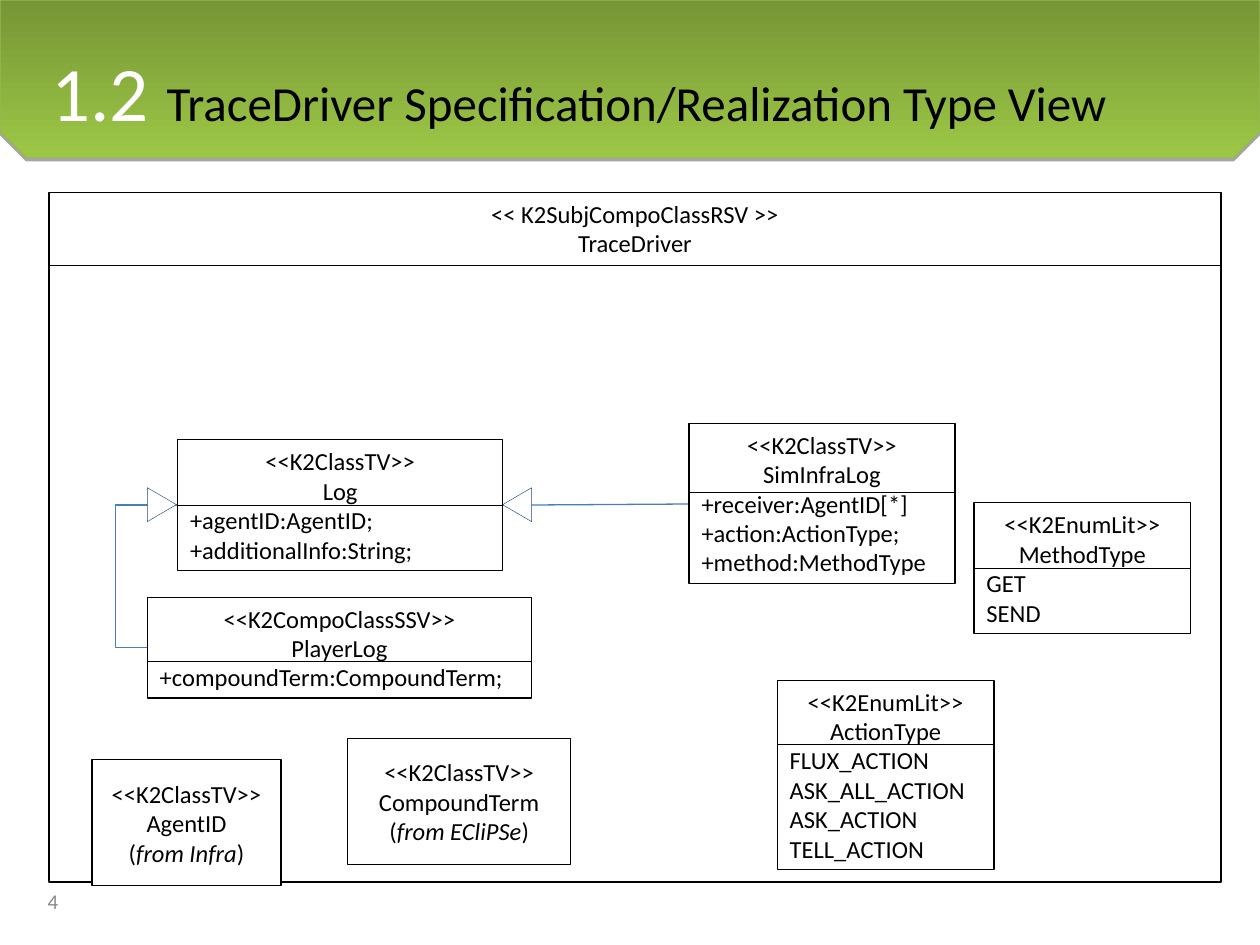
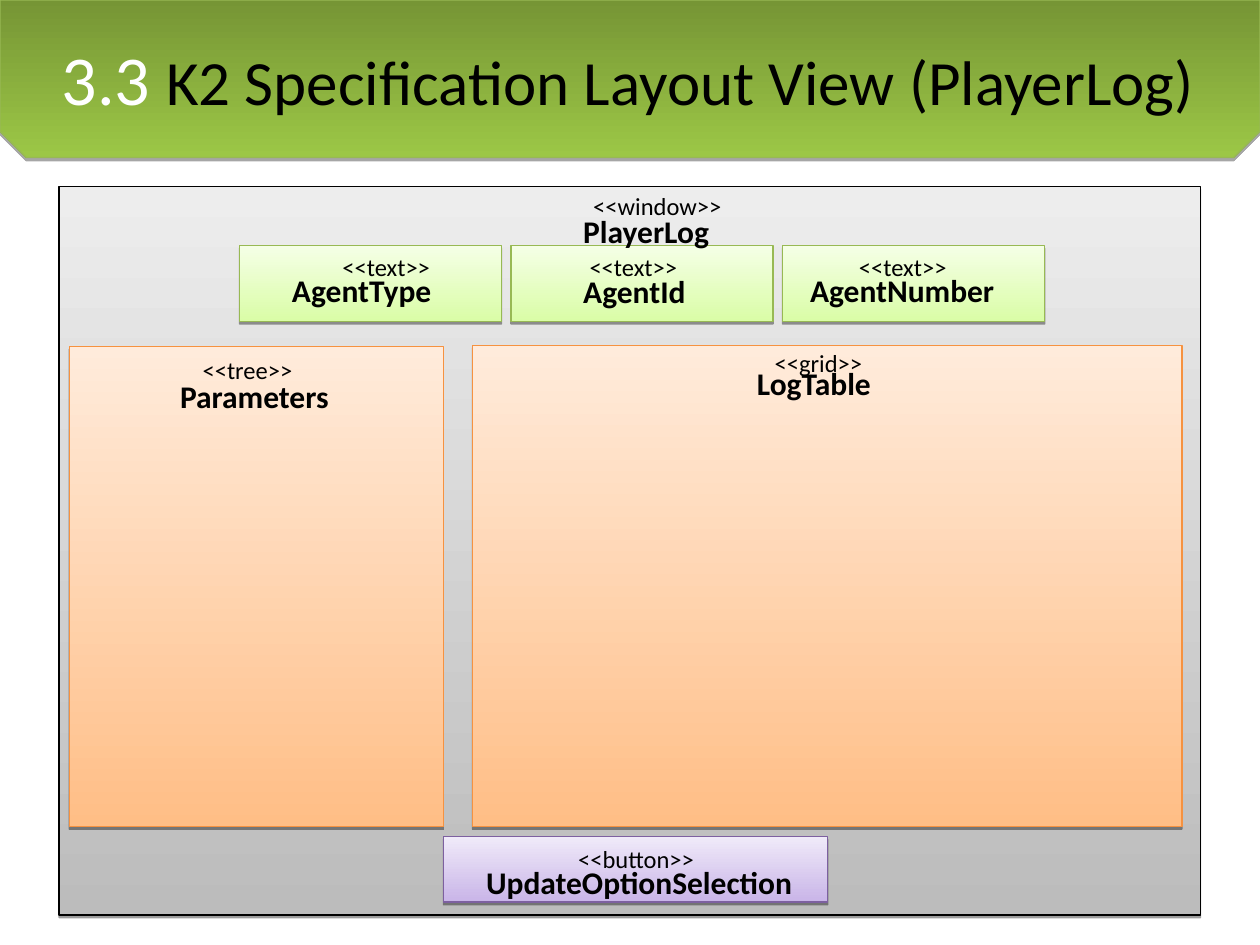
import pptx
import pptx.util
import pptx.dml.color
import pptx.enum.shapes
import pptx.enum.text
import pptx.oxml
import pptx.oxml.ns

Pt = pptx.util.Pt
FORM = pptx.enum.shapes.MSO_SHAPE
LINK = pptx.enum.shapes.MSO_CONNECTOR
ALIGN = pptx.enum.text.PP_ALIGN
ANCHOR = pptx.enum.text.MSO_ANCHOR
BLACK, WHITE, GREY, BLUE, NAVY = "000000", "FFFFFF", "898989", "4A7EBB", "1F497D"
BAND = ("769535", "9CC746", "98B954")
PANE = ("EDEDED", "BCBCBC", BLACK)
GREEN = ("F5FFE6", "DAFDA7", "98B954")
PEACH = ("FFEBDB", "FFBE86", "F69240")
LILAC = ("F0EAF9", "C9B5E8", "7D60A0")


def tint(code):
    return pptx.dml.color.RGBColor.from_string(code)


class Deck:
    font = "Calibri"
    wide, high = 720, 540

    def __init__(self):
        self.show = pptx.Presentation()
        self.show.slide_width = Pt(self.wide)
        self.show.slide_height = Pt(self.high)

    def page(self, mark, text, place, sizes):
        self.slide = self.show.slides.add_slide(self.show.slide_layouts[5])
        self.shapes = self.slide.shapes
        title = self.shapes.title
        title.left, title.top, title.width, title.height = map(Pt, place)
        frame = title.text_frame
        frame.auto_size = pptx.enum.text.MSO_AUTO_SIZE.NONE
        frame.vertical_anchor = ANCHOR.TOP
        part = frame.paragraphs[0]
        part.alignment = ALIGN.LEFT
        self.run(part, mark, sizes[0], WHITE)
        self.run(part, text, sizes[1])
        title.element.addprevious(self.band().element)

    def band(self):
        low, cut, snip = 90, 75, 15
        form = self.shapes.build_freeform(0, 0, scale=Pt(1))
        form.add_line_segments([
            (self.wide, 0), (self.wide, cut), (self.wide - snip, low),
            (snip, low), (0, cut)])
        shape = form.convert_to_shape()
        self.shade(shape, BAND, 35, 1.8)
        return shape

    def run(self, part, text, size=14, hue=BLACK, bold=False, slant=False):
        run = part.add_run()
        run.text = text
        font = run.font
        font.name, font.size, font.bold, font.italic = self.font, Pt(size), bold, slant
        font.color.rgb = tint(hue)

    def lines(self, frame, rows, align):
        for spot, row in enumerate(rows):
            part = frame.add_paragraph() if spot else frame.paragraphs[0]
            part.alignment = align
            self.run(part, row)

    def shade(self, shape, hues, depth, drop):
        top, low, edge = hues
        fill = shape.fill
        fill.gradient()
        fill.gradient_angle = 270
        for stop, hue in zip(fill.gradient_stops, (top, low)):
            stop.color.rgb = tint(hue)
        self.edge(shape, edge)
        shape.shadow.inherit = False
        cast = shape.element.spPr.find(pptx.oxml.ns.qn("a:effectLst"))
        cast.append(pptx.oxml.parse_xml(
            f'<a:outerShdw {pptx.oxml.ns.nsdecls("a")} blurRad="0" dist="{Pt(drop)}" '
            f'dir="5400000" rotWithShape="0"><a:srgbClr val="{BLACK}">'
            f'<a:alpha val="{depth * 1000}"/></a:srgbClr></a:outerShdw>'))

    def edge(self, shape, hue, width=0.75):
        shape.line.color.rgb = tint(hue)
        shape.line.width = Pt(width)

    def pane(self, place, hues):
        shape = self.shapes.add_shape(FORM.RECTANGLE, *map(Pt, place))
        self.shade(shape, hues, 38, 1.6)

    def box(self, place, head, body=(), fill=None, anchor=ANCHOR.MIDDLE):
        shape = self.shapes.add_shape(FORM.RECTANGLE, *map(Pt, place))
        shape.shadow.inherit = False
        if fill:
            shape.fill.solid()
            shape.fill.fore_color.rgb = tint(fill)
        else:
            shape.fill.background()
        self.edge(shape, BLACK)
        frame = shape.text_frame
        frame.word_wrap = fill is None
        frame.vertical_anchor = anchor
        self.lines(frame, head, ALIGN.CENTER)
        for row in body:
            part = frame.add_paragraph()
            part.alignment = ALIGN.LEFT
            self.run(part, row)
        return frame

    def entry(self, place, rule, head, body):
        self.box(place, head, body)
        left, top, width, _ = place
        self.link((left, top + rule, left + width, top + rule), BLACK, 0.25)

    def source(self, place, name, origin):
        frame = self.box(place, ("<<K2ClassTV>>", name), fill=WHITE)
        part = frame.add_paragraph()
        part.alignment = ALIGN.CENTER
        self.run(part, "(")
        self.run(part, origin, slant=True)
        self.run(part, ")")

    def link(self, ends, hue, width=0.75, bend=None):
        kind = LINK.STRAIGHT if bend is None else LINK.ELBOW
        line = self.shapes.add_connector(kind, *map(Pt, ends))
        self.edge(line, hue, width)
        props = line.element.spPr
        pptx.oxml.ns.qn("a:effectLst")
        props.append(pptx.oxml.parse_xml(
            f'<a:effectLst {pptx.oxml.ns.nsdecls("a")}/>'))
        if bend is not None:
            guides = props.find(".//" + pptx.oxml.ns.qn("a:avLst"))
            guides.append(pptx.oxml.parse_xml(
                f'<a:gd {pptx.oxml.ns.nsdecls("a")} name="adj1" '
                f'fmla="val {round(bend * 100000)}"/>'))

    def arrow(self, left, top, turn):
        shape = self.shapes.add_shape(
            FORM.ISOSCELES_TRIANGLE, Pt(left), Pt(top), Pt(19.4), Pt(16.6))
        shape.rotation = turn
        shape.shadow.inherit = False
        shape.fill.solid()
        shape.fill.fore_color.rgb = tint(WHITE)
        self.edge(shape, NAVY, 0.25)

    def text(self, place, words, size=14, hue=BLACK, bold=False, anchor=ANCHOR.TOP):
        frame = self.shapes.add_textbox(*map(Pt, place)).text_frame
        frame.word_wrap = True
        frame.vertical_anchor = anchor
        self.run(frame.paragraphs[0], words, size, hue, bold)

    def label(self, kind, spot, name, place):
        self.text((*spot, 100, 24.5), f"<<{kind}>>")
        self.text((*place, 210, 28.8), name, 18, bold=True)


def types(deck):
    deck.page("1.2 ", "TraceDriver Specification/Realization Type View",
              (22.3, 21.6, 686.2, 90), (44, 28))
    deck.text((20.2, 500.4, 167.8, 28.8), "4", 12, GREY, anchor=ANCHOR.MIDDLE)
    deck.link((28.1, 151.9, 697.7, 151.9), BLACK)
    deck.box((28.1, 110.2, 669.6, 393.8),
             ("<< K2SubjCompoClassRSV >>", "TraceDriver"), anchor=ANCHOR.TOP)
    deck.link((286.6, 288.7, 393.8, 288), BLUE)
    deck.link((84.2, 370.1, 101.5, 288.7), BLUE, bend=-1.06)
    deck.arrow(82.8, 280.1, 90)
    deck.arrow(285.8, 280.1, 270)
    entries = (
        ((101.5, 251.3, 185.8, 74.9), 37.4, "K2ClassTV", "Log",
         ("+agentID:AgentID;", "+additionalInfo:String;")),
        ((393.8, 241.9, 151.9, 91.4), 39.3, "K2ClassTV", "SimInfraLog",
         ("+receiver:AgentID[*]", "+action:ActionType;", "+method:MethodType")),
        ((84.2, 341.3, 219.6, 57.6), 36.7, "K2CompoClassSSV", "PlayerLog",
         ("+compoundTerm:CompoundTerm;",)),
        ((556.6, 287.3, 123.8, 74.9), 37.4, "K2EnumLit", "MethodType",
         ("GET", "SEND")),
        ((444.2, 388.8, 123.8, 108), 36.7, "K2EnumLit", "ActionType",
         ("FLUX_ACTION", "ASK_ALL_ACTION", "ASK_ACTION", "TELL_ACTION")),
    )
    for place, rule, kind, name, body in entries:
        deck.entry(place, rule, (f"<<{kind}>>", name), body)
    deck.source((198.7, 421.9, 127.4, 72), "CompoundTerm", "from ECliPSe")
    deck.source((52.6, 434.2, 108, 72), "AgentID", "from Infra")


def layout(deck):
    deck.page("3.3 ", "K2 Specification Layout View (PlayerLog)",
              (28.1, 16.6, 691.9, 90), (40, 36))
    deck.pane((33.8, 106.6, 652.3, 416.2), PANE)
    for step in range(3):
        deck.pane((136.8 + step * 155.2, 140.4, 149.8, 43.2), GREEN)
    deck.pane((39.6, 198, 213.8, 274.3), PEACH)
    deck.pane((270, 197.3, 405.4, 275), PEACH)
    deck.pane((253.4, 478.1, 219.6, 37.4), LILAC)
    labels = (
        ("window", (331.9, 105.8), "PlayerLog", (326.2, 117.4)),
        ("text", (188.6, 140.4), "AgentType", (159.8, 151.2)),
        ("text", (329.8, 140.4), "AgentId", (326.2, 151.9)),
        ("text", (483.8, 140.4), "AgentNumber", (455.8, 151.2)),
        ("tree", (108.7, 199.4), "Parameters", (95.8, 211.7)),
        ("grid", (435.6, 195.1), "LogTable", (425.5, 204.5)),
        ("button", (323.3, 478.8), "UpdateOptionSelection", (270.7, 489.6)),
    )
    for item in labels:
        deck.label(*item)


def main():
    deck = Deck()
    types(deck)
    layout(deck)
    deck.show.save("out.pptx")


if __name__ == "__main__":
    main()
